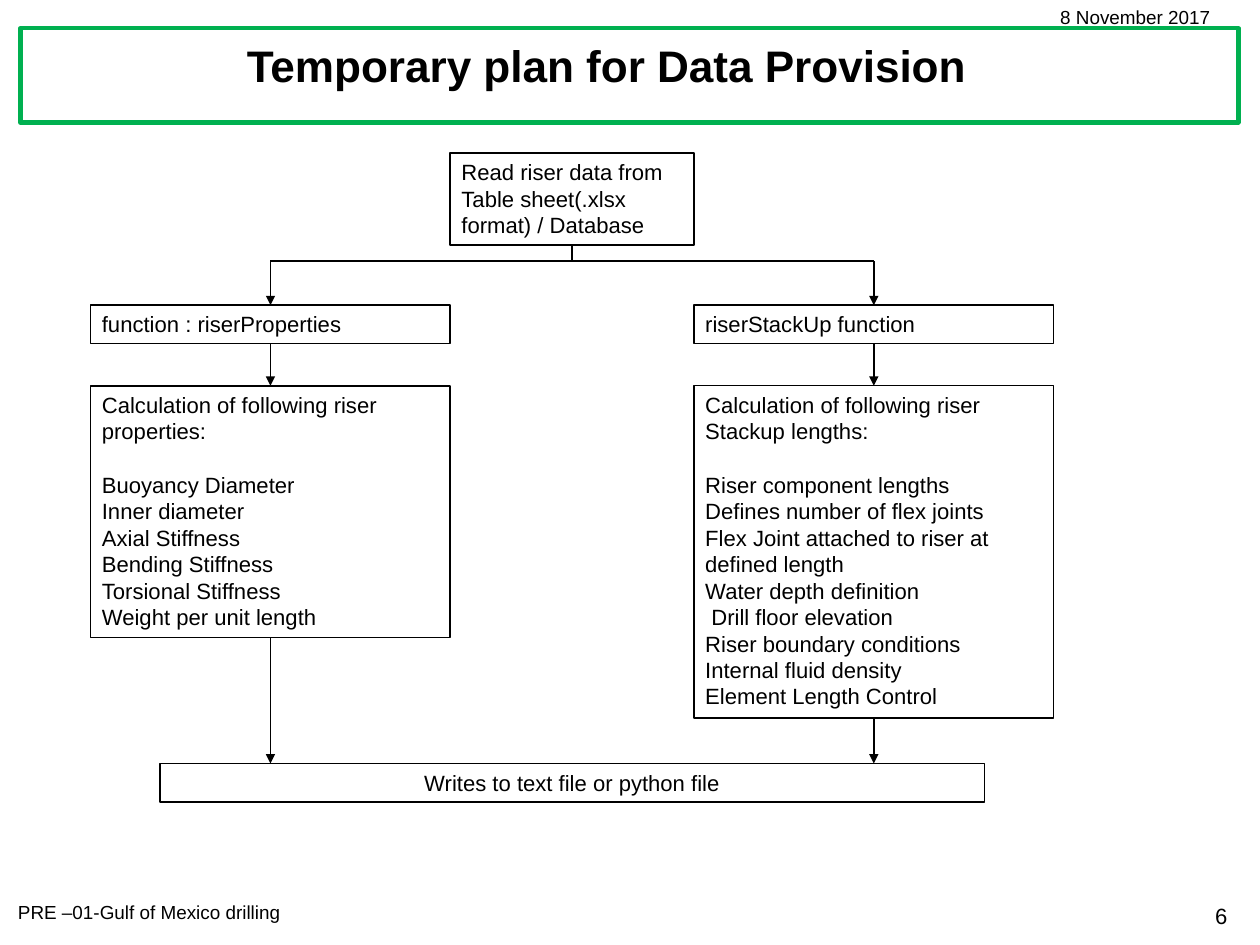
from pptx import Presentation
from pptx.dml.color import RGBColor
from pptx.enum.shapes import MSO_CONNECTOR as CONN, MSO_SHAPE as SHAPE
from pptx.enum.text import MSO_ANCHOR as ANCHOR, PP_ALIGN as ALIGN
from pptx.oxml.ns import qn
from pptx.util import Pt
from lxml.etree import SubElement

PX = 9144
WIDTH, HEIGHT = 1111, 833
BLACK, WHITE, GREEN = "000000", "FFFFFF", "00B050"
PROPERTIES = [
    "Calculation of following riser properties:",
    "Buoyancy Diameter",
    "Inner diameter",
    "Axial Stiffness",
    "Bending Stiffness",
    "Torsional Stiffness",
    "Weight per unit length",
]
STACKUP = [
    "Calculation of following riser Stackup lengths:",
    "Riser component lengths",
    "Defines number of flex joints",
    "Flex Joint attached to riser at defined length",
    "Water depth definition",
    " Drill floor elevation",
    "Riser boundary conditions",
    "Internal fluid density",
    "Element Length Control",
]


def px(*values):
    return [round(v * PX) for v in values]


def color(hex_text):
    return RGBColor.from_string(hex_text)


def write(sp, lines, size, align=ALIGN.LEFT, anchor=ANCHOR.TOP, bold=False):
    tf = sp.text_frame
    tf.word_wrap = True
    tf.vertical_anchor = anchor
    tf.text = "\n".join(lines)
    for p in tf.paragraphs:
        p.alignment = align
        p.font.name = "Arial"
        p.font.size = Pt(size)
        p.font.bold = bold
        p.font.color.rgb = color(BLACK)
    return tf.paragraphs[0]


def add_box(slide, x, y, w, h, line=BLACK, weight=1):
    sp = slide.shapes.add_shape(SHAPE.RECTANGLE, *px(x, y, w, h))
    sp.shadow.inherit = False
    sp.fill.solid()
    sp.fill.fore_color.rgb = color(WHITE)
    sp.line.color.rgb = color(line)
    sp.line.width = Pt(weight)
    return sp


def add_step(slide, x, y, w, h, lines, align=ALIGN.LEFT):
    sp = add_box(slide, x, y, w, h)
    first = write(sp, lines, 14, align)
    if len(lines) > 1:
        first.space_after = Pt(17)
    return sp


def add_line(slide, x1, y1, x2, y2, source=None, target=None, arrow=True):
    cxn = slide.shapes.add_connector(CONN.STRAIGHT, *px(x1, y1, x2, y2))
    cxn.line.color.rgb = color(BLACK)
    cxn.line.width = Pt(1)
    props = cxn.element.spPr
    if arrow:
        SubElement(props.find(qn("a:ln")), qn("a:tailEnd"), type="triangle")
    SubElement(props, qn("a:effectLst"))
    if source is not None:
        cxn.begin_connect(source, 2)
    if target is not None:
        cxn.end_connect(target, 0)


def add_header(slide, x, y, w, h):
    banner = add_box(slide, x, y, w, h, GREEN, 2.75)
    title = slide.shapes.title
    title.element.addprevious(banner.element)
    title.left, title.top, title.width, title.height = px(0, y + 6, x + w - 23, 59)
    p = write(title, ["Temporary plan for Data Provision"], 28,
              ALIGN.CENTER, ANCHOR.MIDDLE, True)
    p.line_spacing = 0.9
    p.space_before = Pt(10)


def add_label(slide, x, y, w, h, text, size=12, align=ALIGN.LEFT):
    write(slide.shapes.add_textbox(*px(x, y, w, h)), [text], size, align)


def add_flowchart(slide, x, y, w, h):
    col_w, row_h, bar_inset = 317, 34, 61
    mid = x + w / 2
    fork_y, name_y, detail_y, bar_y = y + 95, y + 134, y + 205, y + h - row_h

    read = add_step(slide, x + col_w, y, w - 2 * col_w, 81,
                    ["Read riser data from Table sheet(.xlsx format) / Database"])
    add_step(slide, x + bar_inset, bar_y, w - 2 * bar_inset, row_h,
             ["Writes to text file or python file"], ALIGN.CENTER)
    add_line(slide, mid, y + 81, mid, fork_y, read, arrow=False)

    branches = [
        (x, "function : riserProperties", PROPERTIES, 222),
        (x + w - col_w, "riserStackUp function", STACKUP, 293),
    ]
    for left, name, lines, detail_h in branches:
        cx = left + col_w / 2
        head = add_step(slide, left, name_y, col_w, row_h, [name])
        detail = add_step(slide, left, detail_y, col_w, detail_h, lines)
        add_line(slide, mid, fork_y, cx, fork_y, arrow=False)
        add_line(slide, cx, fork_y, cx, name_y, target=head)
        add_line(slide, cx, name_y + row_h, cx, detail_y, head, detail)
        add_line(slide, cx, detail_y + detail_h, cx, bar_y, detail)


def main():
    prs = Presentation()
    prs.slide_width, prs.slide_height = px(WIDTH, HEIGHT)
    slide = prs.slides.add_slide(prs.slide_layouts[5])
    add_header(slide, 18, 25, 1074, 83)
    add_label(slide, 925, 0, 168, 30, "8 November 2017")
    add_flowchart(slide, 80, 135, 849, 572)
    add_label(slide, 6, 789, 428, 30, "PRE –01-Gulf of Mexico drilling")
    add_label(slide, 940, 791, 152, 34, "6", 14, ALIGN.RIGHT)
    prs.save("out.pptx")


if __name__ == "__main__":
    main()
